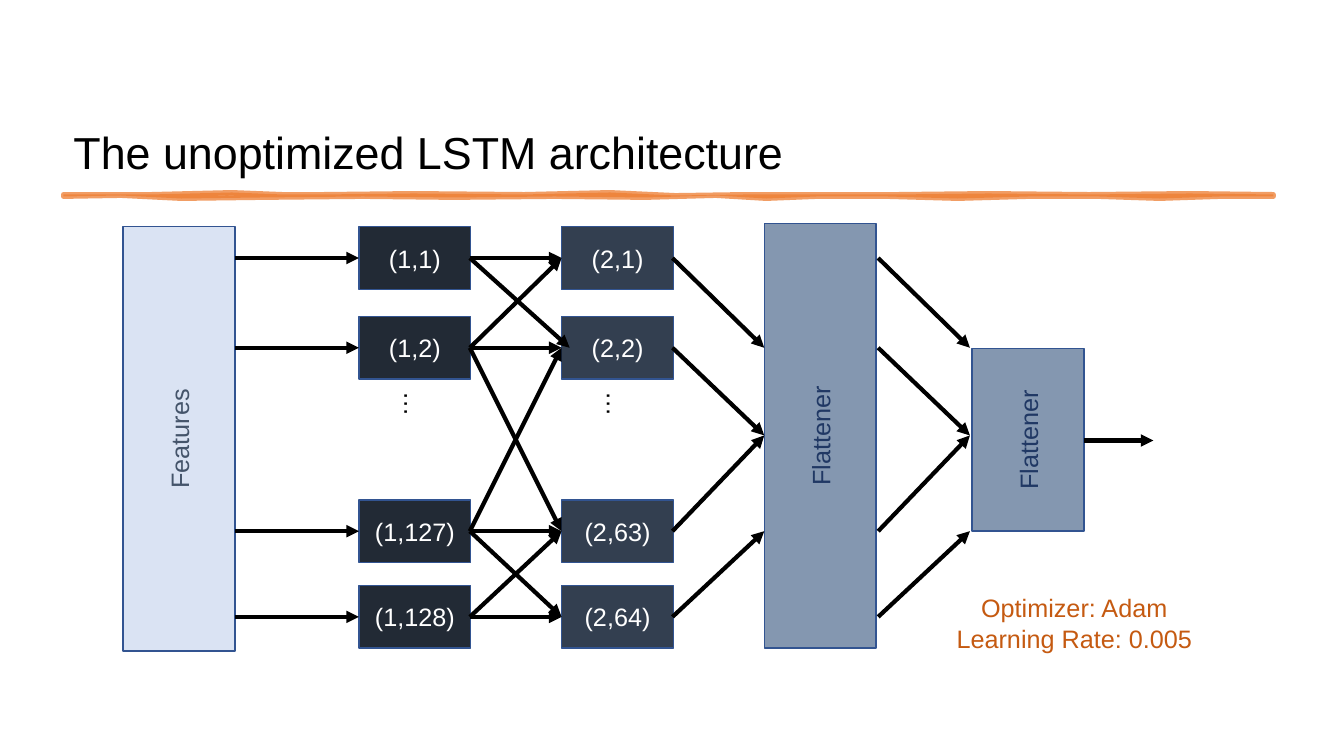
from lxml.etree import SubElement
from pptx import Presentation
from pptx.dml.color import RGBColor
from pptx.enum.shapes import MSO_CONNECTOR, MSO_SHAPE
from pptx.enum.text import MSO_ANCHOR, MSO_AUTO_SIZE, PP_ALIGN
from pptx.oxml.ns import qn
from pptx.util import Inches, Pt

BLACK = RGBColor(0x00, 0x00, 0x00)
WHITE = RGBColor(0xFF, 0xFF, 0xFF)
ORANGE = RGBColor(0xED, 0x7D, 0x31)
RUST = RGBColor(0xC5, 0x5A, 0x11)
OUTLINE = RGBColor(0x32, 0x54, 0x91)
PALE_BLUE = RGBColor(0xDA, 0xE3, 0xF3)
SLATE = RGBColor(0x44, 0x54, 0x6A)
STEEL = RGBColor(0x84, 0x97, 0xB0)
NAVY = RGBColor(0x20, 0x38, 0x64)
INK = RGBColor(0x22, 0x2A, 0x35)
CHARCOAL = RGBColor(0x33, 0x3F, 0x50)

BLOCK_WIDTH = 1.11
CELL_HEIGHT = 0.62
ROWS = (2.56, 3.45, 5.27, 6.12)
MIDDLE = 4.32
CELL_LAYERS = (
    (3.56, INK, ("(1,1)", "(1,2)", "(1,127)", "(1,128)")),
    (5.57, CHARCOAL, ("(2,1)", "(2,2)", "(2,63)", "(2,64)")),
)
CELL_LINKS = ((0, 1), (0, 0), (1, 0), (1, 1), (1, 2),
              (2, 1), (2, 2), (2, 3), (3, 2), (3, 3))
FLATTEN_TARGETS = (ROWS[1], MIDDLE, MIDDLE, ROWS[2])
BRUSH_TOP = (
    (0.63, 1.93), (1.1, 1.93), (1.5, 1.93), (2.3, 1.91), (2.8, 1.93),
    (3.2, 1.93), (4.1, 1.92), (5.2, 1.93), (6.05, 1.91), (6.7, 1.94),
    (7.4, 1.93), (8.2, 1.93), (8.9, 1.93), (9.8, 1.92), (10.8, 1.93),
    (11.8, 1.92), (12.63, 1.93),
)
BRUSH_BOTTOM = (
    (12.63, 1.95), (12.1, 1.95), (11.5, 1.97), (10.9, 1.95), (10.2, 1.95),
    (9.5, 1.97), (8.8, 1.95), (8.1, 1.95), (7.6, 1.97), (7.1, 1.94),
    (6.4, 1.96), (5.5, 1.95), (4.5, 1.96), (3.6, 1.95), (2.6, 1.96),
    (1.8, 1.97), (1.2, 1.94), (0.63, 1.95),
)


class ArchitectureSlide:
    """Draws styled elements of the network diagram on one slide."""

    font = "Arial"
    text_size = 18

    def __init__(self, slide):
        self.slide = slide

    def add_lines(self, frame, lines, color, size=text_size,
                  align=PP_ALIGN.CENTER, spacing=None):
        for index, line in enumerate(lines):
            paragraph = frame.add_paragraph() if index else frame.paragraphs[0]
            paragraph.alignment = align
            if spacing:
                paragraph.line_spacing = spacing
            run = paragraph.add_run()
            run.text = line
            run.font.name = self.font
            run.font.size = Pt(size)
            run.font.color.rgb = color

    def label(self, left, top, width, height, lines, color,
              anchor=MSO_ANCHOR.TOP, direction="horz", grow=False, **style):
        box = self.slide.shapes.add_textbox(
            Inches(left), Inches(top), Inches(width), Inches(height))
        frame = box.text_frame
        frame.word_wrap = True
        frame.vertical_anchor = anchor
        if grow:
            frame.auto_size = MSO_AUTO_SIZE.SHAPE_TO_FIT_TEXT
        box.element.txBody.bodyPr.set("vert", direction)
        self.add_lines(frame, lines, color, **style)

    def block(self, left, top, height, text, fill, color, direction="horz"):
        block = self.slide.shapes.add_shape(
            MSO_SHAPE.RECTANGLE, Inches(left), Inches(top),
            Inches(BLOCK_WIDTH), Inches(height))
        block.shadow.inherit = False
        block.fill.solid()
        block.fill.fore_color.rgb = fill
        block.line.color.rgb = OUTLINE
        block.line.width = Pt(1)
        frame = block.text_frame
        frame.word_wrap = True
        frame.vertical_anchor = MSO_ANCHOR.MIDDLE
        block.element.txBody.bodyPr.set("vert", direction)
        self.add_lines(frame, [text], color)

    def arrow(self, x1, y1, x2, y2):
        arrow = self.slide.shapes.add_connector(
            MSO_CONNECTOR.STRAIGHT,
            Inches(x1), Inches(y1), Inches(x2), Inches(y2))
        arrow.line.color.rgb = BLACK
        arrow.line.width = Pt(3)
        properties = arrow.element.spPr
        SubElement(properties.find(qn("a:ln")), qn("a:tailEnd"), type="triangle")
        SubElement(properties, qn("a:effectLst"))

    def brush_stroke(self, points, color):
        start, *others = [(Inches(x), Inches(y)) for x, y in points]
        builder = self.slide.shapes.build_freeform(*start)
        builder.add_line_segments(others, close=True)
        stroke = builder.convert_to_shape()
        stroke.shadow.inherit = False
        stroke.fill.solid()
        stroke.fill.fore_color.rgb = color
        stroke.line.color.rgb = color
        stroke.line.width = Pt(3.5)
        for tint in stroke.element.spPr.iter(qn("a:srgbClr")):
            SubElement(tint, qn("a:alpha"), val="75000")


def main():
    presentation = Presentation()
    presentation.slide_width = Inches(13.33)
    presentation.slide_height = Inches(7.5)
    diagram = ArchitectureSlide(
        presentation.slides.add_slide(presentation.slide_layouts[6]))

    diagram.label(0.63, 0.26, 12.08, 1.57, ["The unoptimized LSTM architecture"],
                  BLACK, anchor=MSO_ANCHOR.BOTTOM, size=32,
                  align=PP_ALIGN.LEFT, spacing=0.9)
    diagram.brush_stroke(BRUSH_TOP + BRUSH_BOTTOM, ORANGE)

    diagram.block(1.22, 2.25, 4.21, "Features", PALE_BLUE, SLATE, "vert270")
    for left, fill, names in CELL_LAYERS:
        for row, name in zip(ROWS, names):
            diagram.block(left, row - CELL_HEIGHT / 2, CELL_HEIGHT,
                          name, fill, WHITE)
        diagram.label(left + 0.3, 3.79, 0.5, 1.16, ["…"], BLACK,
                      anchor=MSO_ANCHOR.MIDDLE, direction="eaVert",
                      align=PP_ALIGN.LEFT)
    diagram.block(7.58, 2.22, 4.21, "Flattener", STEEL, NAVY, "vert270")
    diagram.block(9.64, 3.46, 1.81, "Flattener", STEEL, NAVY, "vert270")

    for row in ROWS:
        diagram.arrow(2.33, row, 3.56, row)
    for source, target in CELL_LINKS:
        tip = 5.65 if (source, target) == (0, 1) else 5.57
        diagram.arrow(4.66, ROWS[source], tip, ROWS[target])
    for start, end in ((6.67, 7.58), (8.71, 9.62)):
        for row, target in zip(ROWS, FLATTEN_TARGETS):
            diagram.arrow(start, row, end, target)
    diagram.arrow(10.75, 4.37, 11.44, 4.37)

    diagram.label(8.94, 5.83, 3.43, 0.71,
                  ["Optimizer: Adam", "Learning Rate: 0.005"], RUST, grow=True)
    presentation.save("out.pptx")


if __name__ == "__main__":
    main()
